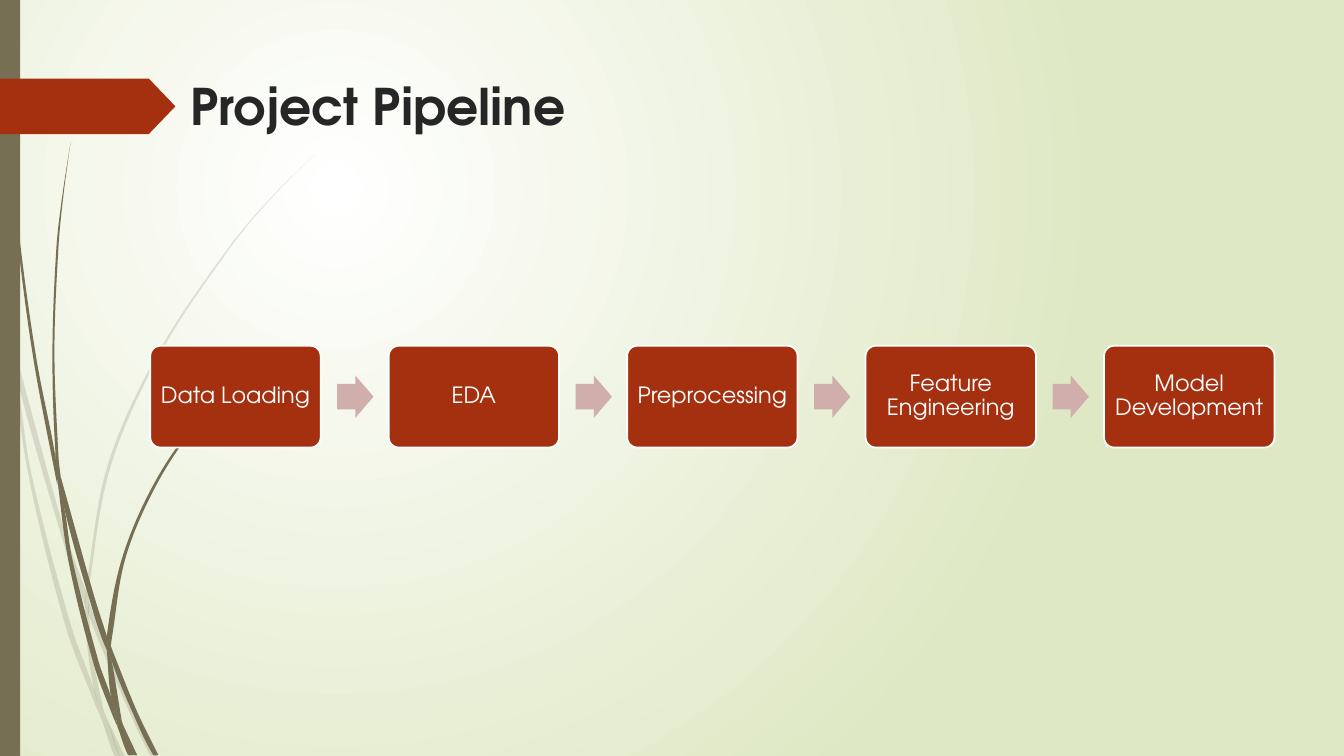
import math

from pptx import Presentation, util as u
from pptx.dml.color import RGBColor
from pptx.enum import shapes, text
from pptx.oxml import ns, xmlchemy

PX = 9144
WIDTH, HEIGHT = 1333, 750
FONT = "TeX Gyre Adventor"
RUST, OLIVE, ROSE, WHITE, INK = "A53010", "766F54", "CFAEAB", "FFFFFF", "262626"

FAINT_BLADES = [
    ([(11, 350), (9, 322), (0, 282)], [(0, 299), (10, 344)]),
    ([(14, 345), (62, 520), (85, 586)], [(84, 599), (58, 522), (17, 376)]),
    ([(88, 596), (92, 607), (127, 692), (155, 751)], [(150, 751), (123, 694), (88, 610)]),
    ([(105, 711), (124, 751)], [(119, 751)]),
    ([(11, 350), (17, 376), (31, 469), (70, 619), (93, 683), (99, 707), (101, 714)],
     [(92, 693), (65, 621), (28, 470)]),
    ([(84, 599), (88, 608), (91, 646), (103, 706), (105, 711)],
     [(96, 692), (93, 683), (87, 646)]),
    ([(312, 153), (268, 198), (229, 245), (160, 349), (110, 462), (88, 584), (88, 596)],
     [(85, 586), (85, 584), (107, 461), (158, 348), (228, 244), (268, 197)]),
    ([(101, 714), (119, 751)], [(114, 751)]),
    ([(85, 586), (88, 596), (88, 610)], [(88, 608), (84, 599)]),
    ([(93, 683), (96, 692), (105, 711), (119, 751)], [(101, 714), (99, 707)]),
]
SOLID_BLADES = [
    ([(4, 0), (5, 48), (8, 109), (19, 232), (36, 355), (55, 453), (57, 481)],
     [(56, 477), (33, 355), (17, 233), (7, 110), (4, 48), (3, 0)]),
    ([(60, 472), (93, 590), (106, 631)], [(106, 645), (88, 592), (64, 505)]),
    ([(110, 641), (113, 649), (136, 706), (157, 749)], [(152, 749), (132, 708), (111, 656)]),
    ([(57, 477), (64, 505), (72, 556), (98, 657), (110, 691), (116, 717), (117, 722)],
     [(111, 708), (93, 659), (68, 557)]),
    ([(70, 141), (63, 193), (58, 245), (54, 349), (58, 453), (60, 472)],
     [(55, 449), (52, 349), (56, 245), (62, 193)]),
    ([(122, 719), (136, 749)], [(133, 749)]),
    ([(55, 449), (60, 472), (64, 505)], [(57, 477), (55, 453)]),
    ([(260, 344), (231, 374), (205, 406), (158, 476), (125, 552), (111, 633), (110, 641)],
     [(106, 631), (122, 551), (156, 474), (204, 405), (231, 373)]),
    ([(117, 722), (131, 749)], [(127, 749)]),
    ([(106, 645), (109, 651), (111, 656), (121, 716), (122, 719)], [(116, 706), (110, 691)]),
    ([(106, 631), (110, 641), (111, 656)], [(109, 651), (106, 645)]),
    ([(110, 691), (116, 706), (122, 719), (133, 749)], [(130, 749), (117, 722), (116, 717)]),
]
STEPS = ["Data Loading", "EDA", "Preprocessing", "Feature Engineering", "Model Development"]


def px(length):
    """Turn pixels into EMU."""
    return u.Emu(round(length * PX))


def color(value):
    """Turn a hex string into a colour."""
    return RGBColor.from_string(value)


def paint(shape, fill, opacity=100):
    """Give a shape a flat fill without line or shadow."""
    shape.shadow.inherit = False
    shape.fill.solid()
    shape.fill.fore_color.rgb = color(fill)
    shape.line.fill.background()
    if opacity < 100:
        tone = shape._element.spPr.find(".//" + ns.qn("a:srgbClr"))
        alpha = xmlchemy.OxmlElement("a:alpha")
        alpha.set("val", str(opacity * 1000))
        tone.append(alpha)


def add_preset(page, kind, box, fill):
    """Add a painted preset shape in a pixel box."""
    shape = page.shapes.add_shape(kind, *map(px, box))
    paint(shape, fill)
    return shape


def write(shape, words, size, tone, bold=False):
    """Set one paragraph of text and format it."""
    para = shape.text_frame.paragraphs[0]
    para.text = words
    for span in para.runs:
        span.font.name = FONT
        span.font.size = u.Pt(size)
        span.font.bold = bold
        span.font.color.rgb = color(tone)
    return para


def curve_through(points):
    """Return two handles and an end for each smooth cubic through the points."""
    padded = [points[0], *points, points[-1]]
    curve = []
    for before, start, end, after in zip(padded, padded[1:], padded[2:], padded[3:]):
        reach = math.dist(start, end) / 3
        enter = reach / math.dist(before, end)
        leave = reach / math.dist(start, after)
        curve += [tuple(s + (e - b) * enter for b, s, e in zip(before, start, end)),
                  tuple(e - (a - s) * leave for s, e, a in zip(start, end, after)),
                  end]
    return curve


def add_blade(page, edge, back, opacity):
    """Draw a curved blade of grass from its two edges."""
    outline = curve_through(edge) + curve_through([edge[-1], *back, edge[0]])
    builder = page.shapes.build_freeform(*map(px, edge[0]))
    builder.add_line_segments([tuple(map(px, point)) for point in outline])
    blade = builder.convert_to_shape()
    lines = blade._element.findall(".//" + ns.qn("a:lnTo"))
    for trio in zip(lines[::3], lines[1::3], lines[2::3]):
        cubic = xmlchemy.OxmlElement("a:cubicBezTo")
        trio[0].addprevious(cubic)
        for line in trio:
            cubic.append(line[0])
            line.getparent().remove(line)
    paint(blade, OLIVE, opacity)


def add_backdrop(page):
    """Set the radial background and draw the grass and side bar."""
    fill = page.background.fill
    fill.gradient()
    for stop, tone in zip(fill.gradient_stops, (WHITE, "DFE8C4")):
        stop.color.rgb = color(tone)
    gradient = page._element.find(".//" + ns.qn("a:gradFill"))
    radial = xmlchemy.OxmlElement("a:path")
    radial.set("path", "circle")
    focus = xmlchemy.OxmlElement("a:fillToRect")
    for side, share in zip("ltrb", (50, 50, 100, 100)):
        focus.set(side, str(share * 1000))
    radial.append(focus)
    gradient.replace(gradient.find(ns.qn("a:lin")), radial)
    for blades, opacity in ((FAINT_BLADES, 20), (SOLID_BLADES, 100)):
        for edge, back in blades:
            add_blade(page, edge, back, opacity)
    add_preset(page, shapes.MSO_SHAPE.RECTANGLE, (0, 0, 20, HEIGHT), OLIVE)


def add_heading(page, box, words):
    """Place the tag and the title in a box."""
    left, top, width, height = box
    tag = add_preset(page, shapes.MSO_SHAPE.PENTAGON, (left, top + 8, 174, 55), RUST)
    tag.adjustments[0] = 0.48
    title = page.shapes.add_textbox(*map(px, (left + 179, top, width - 179, height)))
    title.text_frame.word_wrap = True
    write(title, words, 36, INK, bold=True)


def add_pipeline(page, box, steps):
    """Spread the step cards over a box with arrows between them."""
    left, top, width, height = box
    card_width, arrow_width, arrow_height = 169, 36, 42
    pitch = (width - card_width) / (len(steps) - 1)
    for i, step in enumerate(steps):
        x = left + i * pitch
        if i:
            add_preset(page, shapes.MSO_SHAPE.RIGHT_ARROW,
                       (x - 51, top + (height - arrow_height) / 2, arrow_width, arrow_height),
                       ROSE).adjustments[0] = 0.6
        card = add_preset(page, shapes.MSO_SHAPE.ROUNDED_RECTANGLE,
                          (x, top, card_width, height), RUST)
        card.adjustments[0] = 0.1
        card.line.color.rgb = color(WHITE)
        card.line.width = u.Pt(1.25)
        frame = card.text_frame
        frame.word_wrap = True
        frame.vertical_anchor = text.MSO_ANCHOR.MIDDLE
        frame.margin_left = frame.margin_right = px(6)
        frame.margin_top = frame.margin_bottom = px(7)
        para = write(card, step, 16, WHITE)
        para.alignment = text.PP_ALIGN.CENTER
        para.line_spacing = 0.9


def main():
    """Build the slide and save the deck."""
    deck = Presentation()
    deck.slide_width, deck.slide_height = px(WIDTH), px(HEIGHT)
    page = deck.slides.add_slide(deck.slide_layouts[6])
    add_backdrop(page)
    add_heading(page, (0, 70, 1154, 86), "Project Pipeline")
    add_pipeline(page, (149, 343, 1115, 101), STEPS)
    deck.save("out.pptx")


if __name__ == "__main__":
    main()
